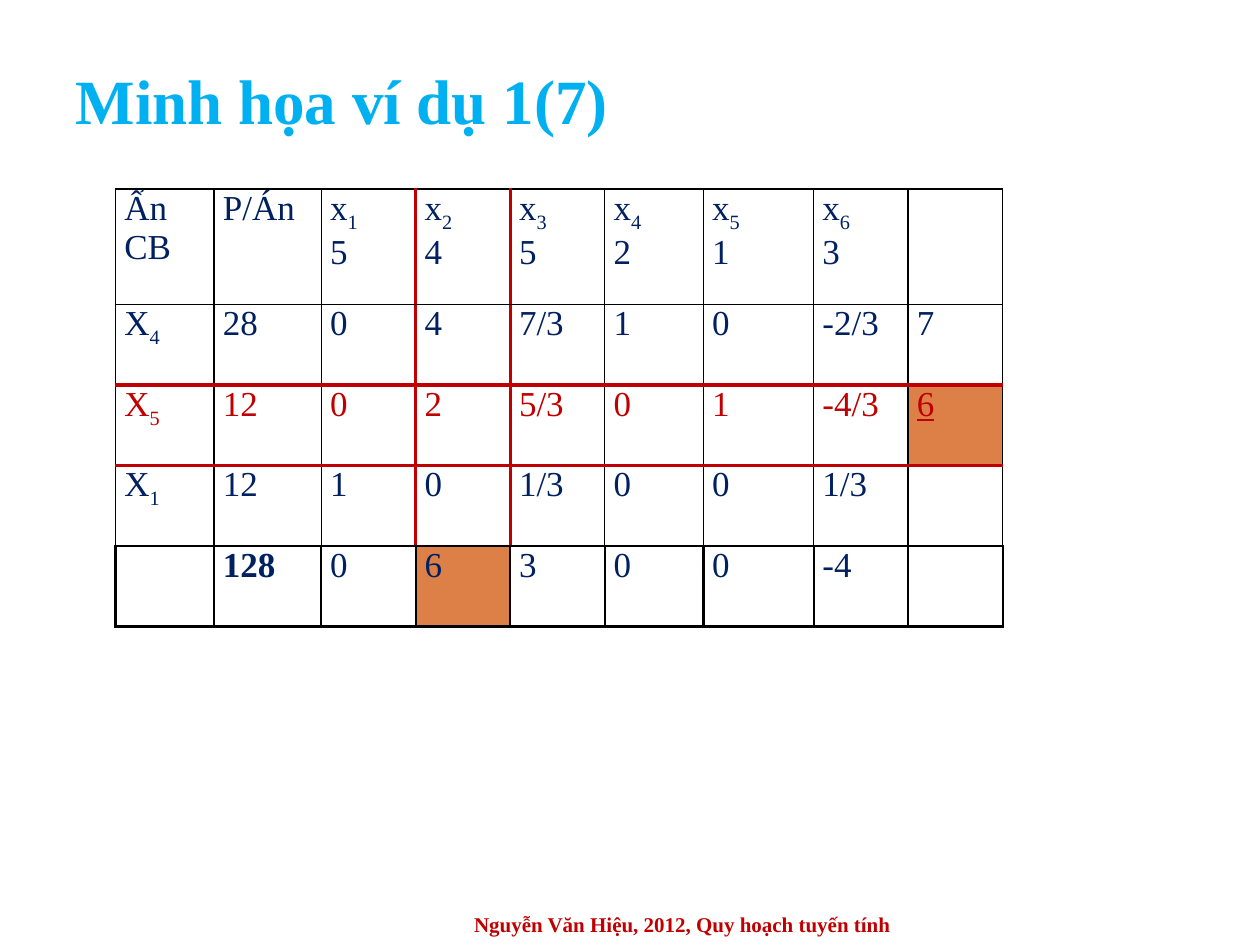
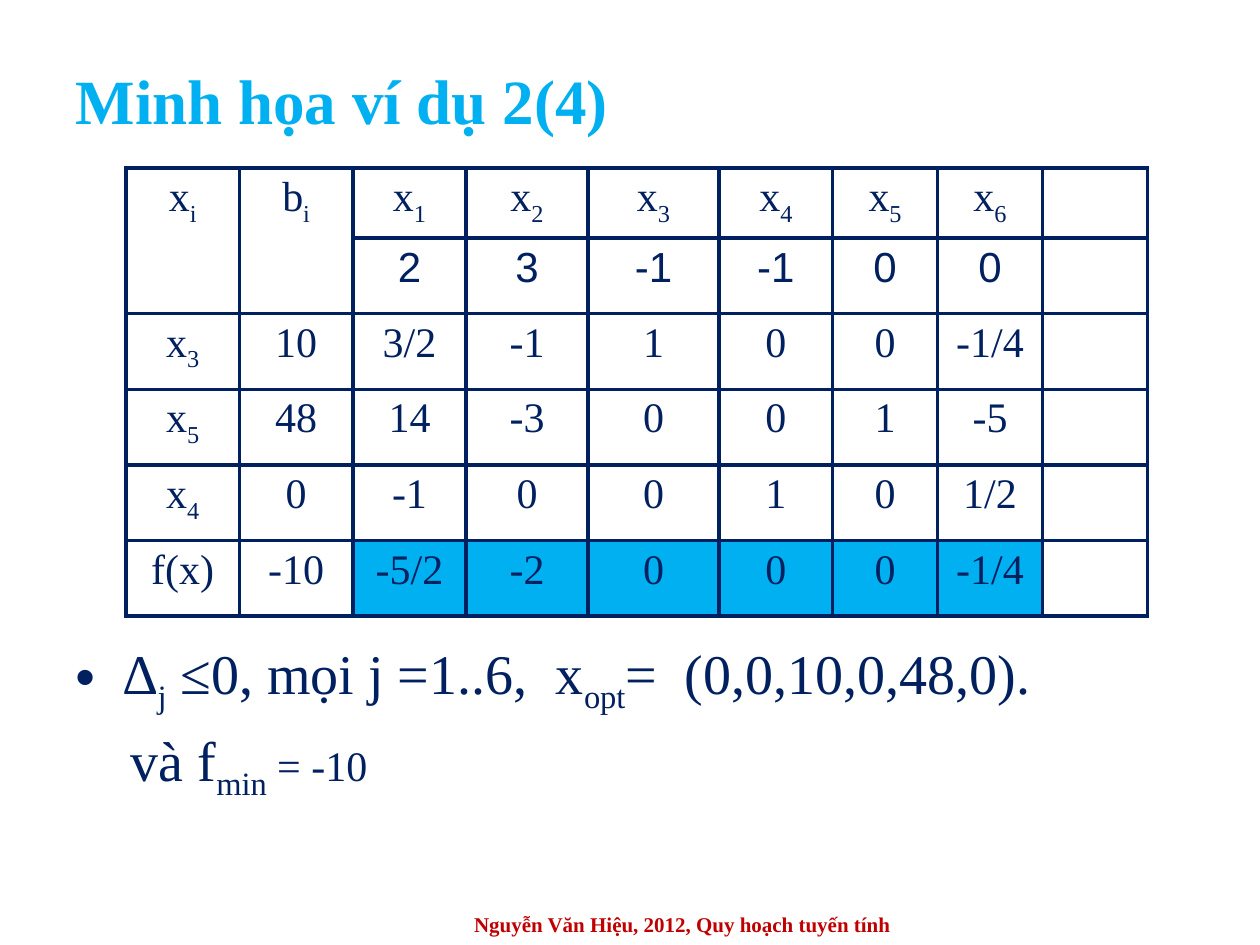
"""Build two slides that show simplex tableaux for linear programming."""
from collections.abc import Callable
from dataclasses import dataclass, replace

from lxml import etree
from pptx import Presentation, util as u
from pptx.dml.color import RGBColor
from pptx.enum import text
from pptx.oxml import ns

ALIGN = text.PP_ALIGN


@dataclass(frozen=True)
class Theme:
    """Colours, fonts and type sizes of the deck."""
    sky: str = "00B0F0"
    navy: str = "002060"
    red: str = "C00000"
    black: str = "000000"
    orange: str = "DD8047"
    serif: str = "Times New Roman"
    sans: str = "Arial"
    title: int = 36
    body: int = 32
    large: int = 24
    table: int = 20
    footer: int = 12


THEME = Theme()


@dataclass(frozen=True)
class TextStyle:
    """Look of a paragraph."""
    size: int
    color: str = THEME.navy
    font: str = THEME.serif
    bold: bool = False
    underline: bool = False
    align: ALIGN = ALIGN.JUSTIFY


@dataclass(frozen=True)
class Frame:
    """Place on a grid of 120 columns by 90 rows."""
    left: float
    top: float
    width: float
    height: float

    def lengths(self) -> tuple[int, ...]:
        """Return left, top, width and height as slide lengths."""
        return tuple(map(grid, (self.left, self.top, self.width, self.height)))


@dataclass(frozen=True)
class Line:
    """Colour and width of a cell border."""
    color: str
    width: float


@dataclass(frozen=True)
class Cell:
    """Look of one table cell."""
    style: TextStyle
    fill: str | None = None


@dataclass(frozen=True)
class Tableau:
    """Contents, measures and rules of a simplex table."""
    left: float
    top: float
    columns: tuple[float, ...]
    rows: tuple[float, ...]
    values: tuple[tuple[str, ...], ...]
    margins: tuple[float, float]
    look: Callable[[int, int], Cell]
    border: Callable[[str, int, int], Line]
    tall_heads: int = 0


def grid(units: float) -> int:
    """Convert grid units, twelve to the inch, to a slide length."""
    return u.Inches(units / 12)


def write(para, content: str, style: TextStyle) -> None:
    """Fill a paragraph, lowering the parts between tildes."""
    para.alignment = style.align
    font = para.font
    font.name, font.size, font.bold = style.font, u.Pt(style.size), style.bold
    font.underline = style.underline
    font.color.rgb = RGBColor.from_string(style.color)
    for index, part in enumerate(content.split("~")):
        if part:
            span = para.add_run()
            span.text = part
            if index % 2:
                span.font._element.set("baseline", "-25000")


def add_box(slide, frame: Frame, anchor: text.MSO_ANCHOR):
    """Add a wrapping text box and return its text frame."""
    box = slide.shapes.add_textbox(*frame.lengths()).text_frame
    box.word_wrap, box.vertical_anchor = True, anchor
    return box


def add_slide(deck, title: str):
    """Add a slide with the shared title and footer."""
    slide = deck.slides.add_slide(deck.slide_layouts[5])
    head = slide.shapes.title
    head.left, head.top, head.width, head.height = Frame(6, 5, 108, 9).lengths()
    head.text_frame.auto_size = text.MSO_AUTO_SIZE.NONE
    head.text_frame.vertical_anchor = text.MSO_ANCHOR.MIDDLE
    write(head.text_frame.paragraphs[0], title,
          TextStyle(THEME.title, THEME.sky, bold=True, align=ALIGN.LEFT))
    footer = add_box(slide, Frame(35, 86, 60, 4), text.MSO_ANCHOR.MIDDLE)
    write(footer.paragraphs[0], "Nguyễn Văn Hiệu, 2012, Quy hoạch tuyến tính",
          TextStyle(THEME.footer, THEME.red, bold=True, align=ALIGN.CENTER))
    return slide


def set_border(cell, index: int, side: str, line: Line) -> None:
    """Draw one side of a cell."""
    edge = etree.Element(ns.qn(f"a:ln{side}"), w=str(u.Pt(line.width)))
    fill = etree.SubElement(edge, ns.qn("a:solidFill"))
    etree.SubElement(fill, ns.qn("a:srgbClr"), val=line.color)
    cell._tc.get_or_add_tcPr().insert(index, edge)


def add_tableau(slide, tableau: Tableau) -> None:
    """Draw a simplex table."""
    frame = Frame(tableau.left, tableau.top, sum(tableau.columns), sum(tableau.rows))
    table = slide.shapes.add_table(
        len(tableau.rows), len(tableau.columns), *frame.lengths()).table
    table.first_row = table.horz_banding = False
    for column, width in zip(table.columns, tableau.columns):
        column.width = grid(width)
    for row, height in zip(table.rows, tableau.rows):
        row.height = grid(height)
    side_margin, end_margin = map(u.Inches, tableau.margins)
    for r, values in enumerate(tableau.values):
        for c, value in enumerate(values):
            cell, look = table.cell(r, c), tableau.look(r, c)
            cell.margin_left = cell.margin_right = side_margin
            cell.margin_top = cell.margin_bottom = end_margin
            for index, content in enumerate(value.split("\n")):
                box = cell.text_frame
                para = box.add_paragraph() if index else box.paragraphs[0]
                write(para, content, look.style)
            if look.fill:
                cell.fill.solid()
                cell.fill.fore_color.rgb = RGBColor.from_string(look.fill)
            else:
                cell.fill.background()
            for index, side in enumerate("LRTB"):
                set_border(cell, index, side, tableau.border(side, r, c))
    for c in range(tableau.tall_heads):
        table.cell(0, c).merge(table.cell(1, c))


def pivot_look(r: int, c: int) -> Cell:
    """Mark the pivot row, the ratio and the entering column."""
    style = TextStyle(THEME.table, THEME.red if r == 2 else THEME.navy,
                      bold=(r, c) == (4, 1), underline=(r, c) == (2, 8))
    return Cell(style, THEME.orange if (r, c) in ((2, 8), (4, 3)) else None)


def pivot_border(side: str, r: int, c: int) -> Line:
    """Frame the pivot row and column in red and the last row in bold."""
    edge = (c if side in "LR" else r) + (side in "RB")
    if side in "LR":
        red, strong = edge in (3, 4) and r < 4, r == 4
    else:
        red, strong = edge in (2, 3), edge > 3
    if red:
        return Line(THEME.red, 2.25)
    return Line(THEME.black, 1.5 if strong else 1)


def optimum_look(r: int, c: int) -> Cell:
    """Mark the estimates in the last row."""
    font = THEME.sans if r == 1 else THEME.serif
    style = TextStyle(THEME.large, font=font, align=ALIGN.CENTER)
    return Cell(style, THEME.sky if r == 5 and 2 <= c <= 7 else None)


def optimum_border(side: str, r: int, c: int) -> Line:
    """Give every cell the same border."""
    return Line(THEME.navy, 2.25)


PIVOT = Tableau(
    left=11, top=18,
    columns=(9.4, 10.2, 9, 9, 9, 9.4, 10.5, 9, 9),
    rows=(11,) + (7.67,) * 4,
    values=(
        ("Ẩn CB", "P/Án", "x~1~\n5", "x~2~\n4", "x~3~\n5", "x~4~\n2", "x~5~\n1", "x~6~\n3", ""),
        ("X~4~", "28", "0", "4", "7/3", "1", "0", "-2/3", "7"),
        ("X~5~", "12", "0", "2", "5/3", "0", "1", "-4/3", "6"),
        ("X~1~", "12", "1", "0", "1/3", "0", "0", "1/3", ""),
        ("", "128", "0", "6", "3", "0", "0", "-4", ""),
    ),
    margins=(0.07, 0), look=pivot_look, border=pivot_border)

OPTIMUM = Tableau(
    left=12, top=16,
    columns=(10.8, 10.8, 10.8, 11.6, 12.5, 10.8, 10, 10, 10),
    rows=(6.15,) + (7.2,) * 5,
    values=(
        ("x~i~", "b~i~", "x~1~", "x~2~", "x~3~", "x~4~", "x~5~", "x~6~", ""),
        ("", "", "2", "3", "-1", "-1", "0", "0", ""),
        ("x~3~", "10", "3/2", "-1", "1", "0", "0", "-1/4", ""),
        ("x~5~", "48", "14", "-3", "0", "0", "1", "-5", ""),
        ("x~4~", "0", "-1", "0", "0", "1", "0", "1/2", ""),
        ("f(x)", "-10", "-5/2", "-2", "0", "0", "0", "-1/4", ""),
    ),
    margins=(0.1, 0.05), look=optimum_look, border=optimum_border, tall_heads=2)


def add_conclusion(slide) -> None:
    """Add the optimal solution and value below the table."""
    box = add_box(slide, Frame(6, 60.2, 108, 20), text.MSO_ANCHOR.TOP)
    style = TextStyle(THEME.body)
    solution, value = box.paragraphs[0], box.add_paragraph()
    write(solution, "∆~j~ ≤0, mọi j =1..6,  x~opt~=  (0,0,10,0,48,0).", style)
    write(value, "và f~min~ = -10", replace(style))
    value.runs[-1].font.size = u.Pt(THEME.large)
    value.space_before = u.Pt(6.4)
    hanging, indented = solution._p.get_or_add_pPr(), value._p.get_or_add_pPr()
    hanging.set("marL", str(u.Inches(0.38)))
    hanging.set("indent", str(u.Inches(-0.38)))
    indented.set("marL", str(u.Inches(0.44)))
    bullet_font = etree.Element(ns.qn("a:buFont"), typeface=THEME.sans)
    bullet = etree.Element(ns.qn("a:buChar"), char="•")
    hanging.insert(0, bullet_font)
    hanging.insert(1, bullet)


def main() -> None:
    """Build and save the deck."""
    deck = Presentation()
    deck.slide_width, deck.slide_height = grid(120), grid(90)
    add_tableau(add_slide(deck, "Minh họa ví dụ 1(7)"), PIVOT)
    result = add_slide(deck, "Minh họa ví dụ 2(4)")
    add_conclusion(result)
    add_tableau(result, OPTIMUM)
    deck.save("out.pptx")


if __name__ == "__main__":
    main()
